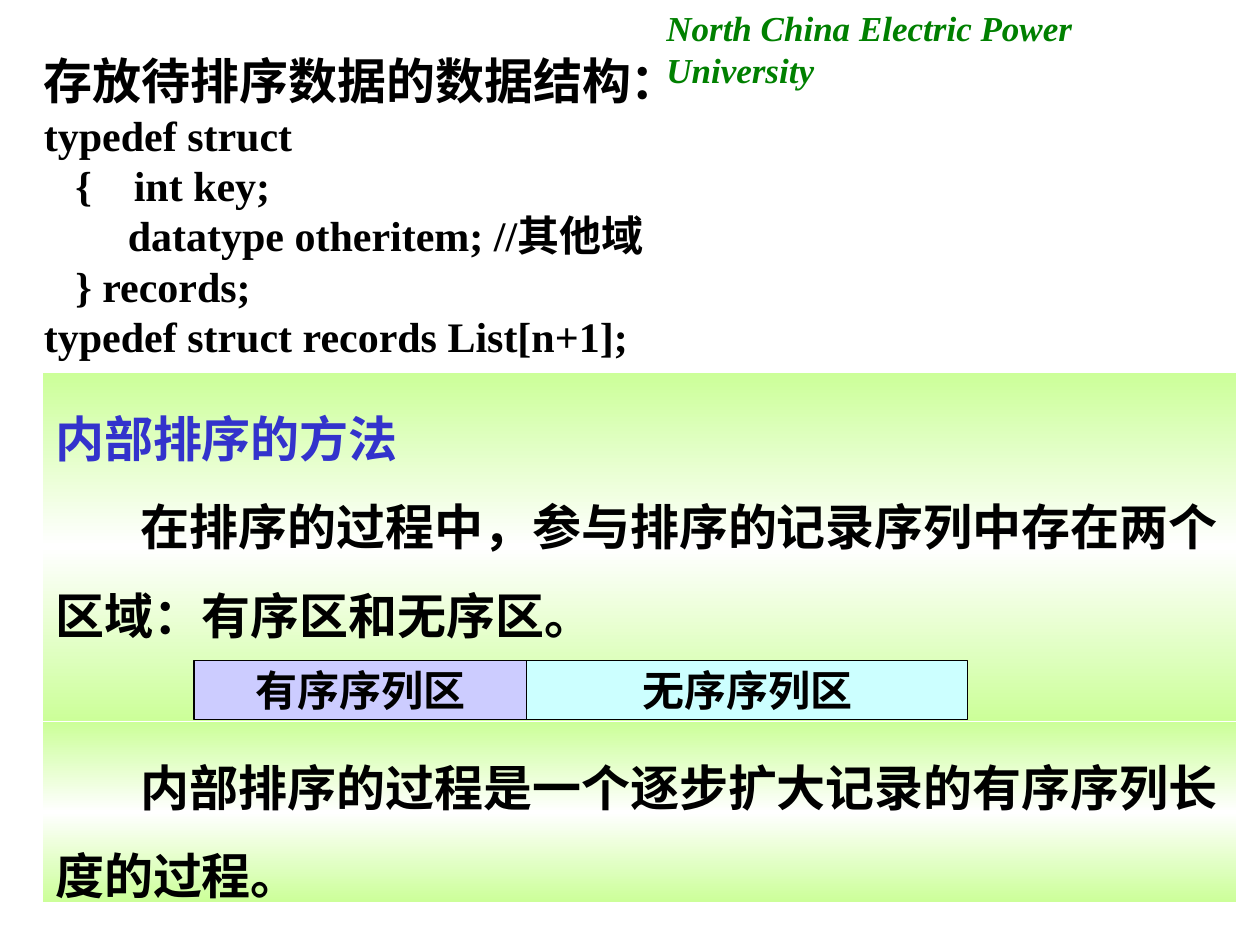
from copy import deepcopy

from pptx import Presentation
from pptx.dml.color import RGBColor
from pptx.enum.shapes import MSO_SHAPE
from pptx.enum.text import MSO_ANCHOR, PP_ALIGN
from pptx.util import Inches, Pt

RECT = MSO_SHAPE.RECTANGLE
TOP, MIDDLE = MSO_ANCHOR.TOP, MSO_ANCHOR.MIDDLE
LEFT, CENTER = PP_ALIGN.LEFT, PP_ALIGN.CENTER
FONT = "Times New Roman"
BLACK, GREEN, BLUE = "000000", "008000", "3333CC"
LIME, WHITE, LILAC, AQUA = "CCFF99", "FFFFFF", "CCCCFF", "CCFFFF"

# Grid of 100 columns by 75 rows
WIDE, HIGH = Inches(10), Inches(7.5)
COL, ROW = WIDE / 100, HIGH / 75


def color(text):
    return RGBColor.from_string(text)


def place(box):
    x, y, w, h = box
    return [round(n) for n in (x * COL, y * ROW, w * COL, h * ROW)]


def write(para, text, size, tint=BLACK, italic=False):
    run = para.add_run()
    run.text = text
    font = run.font
    font.name, font.size = FONT, Pt(size)
    font.bold, font.italic = True, italic
    font.color.rgb = color(tint)


def lines(frame, count):
    """Return the first paragraph and as many new ones as needed."""
    return [frame.paragraphs[0]] + [frame.add_paragraph() for _ in range(count - 1)]


def block(slide, box):
    shape = slide.shapes.add_shape(RECT, *place(box))
    shape.shadow.inherit = False
    shape.text_frame.word_wrap = True
    return shape


def shade(fill, edge, core):
    """Fade downwards from edge to core and back to edge."""
    fill.gradient()
    fill.gradient_angle = 270
    first, last = fill.gradient_stops
    first.color.rgb = last.color.rgb = color(edge)
    first.position, last.position = 0, 1
    stops = fill._fill._gradFill.gsLst
    stops.insert(1, deepcopy(stops[0]))
    mid = fill.gradient_stops[1]
    mid.color.rgb, mid.position = color(core), 0.5


def header(slide, box):
    frame = slide.shapes.add_textbox(*place(box)).text_frame
    frame.word_wrap = True
    write(frame.paragraphs[0], "North China Electric Power University", 20, GREEN, True)


def code(slide, box, title, rows):
    frame = slide.shapes.add_textbox(*place(box)).text_frame
    frame.word_wrap = False
    head, *rest = lines(frame, len(rows) + 1)
    write(head, title, 28)
    for para, row in zip(rest, rows):
        write(para, row, 24)


def panel(slide, box, body, title=None):
    shape = block(slide, box)
    shade(shape.fill, LIME, WHITE)
    shape.line.fill.background()
    frame = shape.text_frame
    frame.vertical_anchor = TOP
    paras = lines(frame, 2 if title else 1)
    for para in paras:
        para.alignment, para.line_spacing = LEFT, 1.5
    if title:
        write(paras[0], title, 28, BLUE)
    # First-line indent of the body text
    paras[-1]._p.get_or_add_pPr().set("indent", str(Inches(0.68)))
    write(paras[-1], body, 28)


def zones(slide, box, parts):
    """Lay labelled cells side by side; each takes a share of the width."""
    x, y, w, h = box
    for label, share, tint in parts:
        shape = block(slide, (x, y, w * share, h))
        x += w * share
        shape.fill.solid()
        shape.fill.fore_color.rgb = color(tint)
        shape.line.color.rgb = color(BLACK)
        shape.line.width = Pt(0.75)
        frame = shape.text_frame
        frame.vertical_anchor = MIDDLE
        frame.paragraphs[0].alignment = CENTER
        write(frame.paragraphs[0], label, 24)


def main():
    deck = Presentation()
    deck.slide_width, deck.slide_height = WIDE, HIGH
    slide = deck.slides.add_slide(deck.slide_layouts[6])

    header(slide, (51.9, 0, 46.6, 4.3))
    # Methods of sorting
    panel(slide, (3.4, 29.6, 94.7, 27.6),
          "在排序的过程中，参与排序的记录序列中存在两个区域：有序区和无序区。",
          "内部排序的方法")
    # Data structure
    code(slide, (2.5, 3.5, 53.3, 25.9), "存放待排序数据的数据结构：", [
        "typedef struct",
        "   {    int key;",
        "        datatype otheritem; //其他域",
        "   } records;",
        "typedef struct records List[n+1];",
    ])
    # Sorted and unsorted zones
    zones(slide, (15.4, 52.4, 61.4, 4.7),
          [("有序序列区", 0.43, LILAC), ("无序序列区", 0.57, AQUA)])
    # Summary
    panel(slide, (3.4, 57.3, 94.7, 14.3),
          "内部排序的过程是一个逐步扩大记录的有序序列长度的过程。")

    deck.save("out.pptx")


if __name__ == "__main__":
    main()
